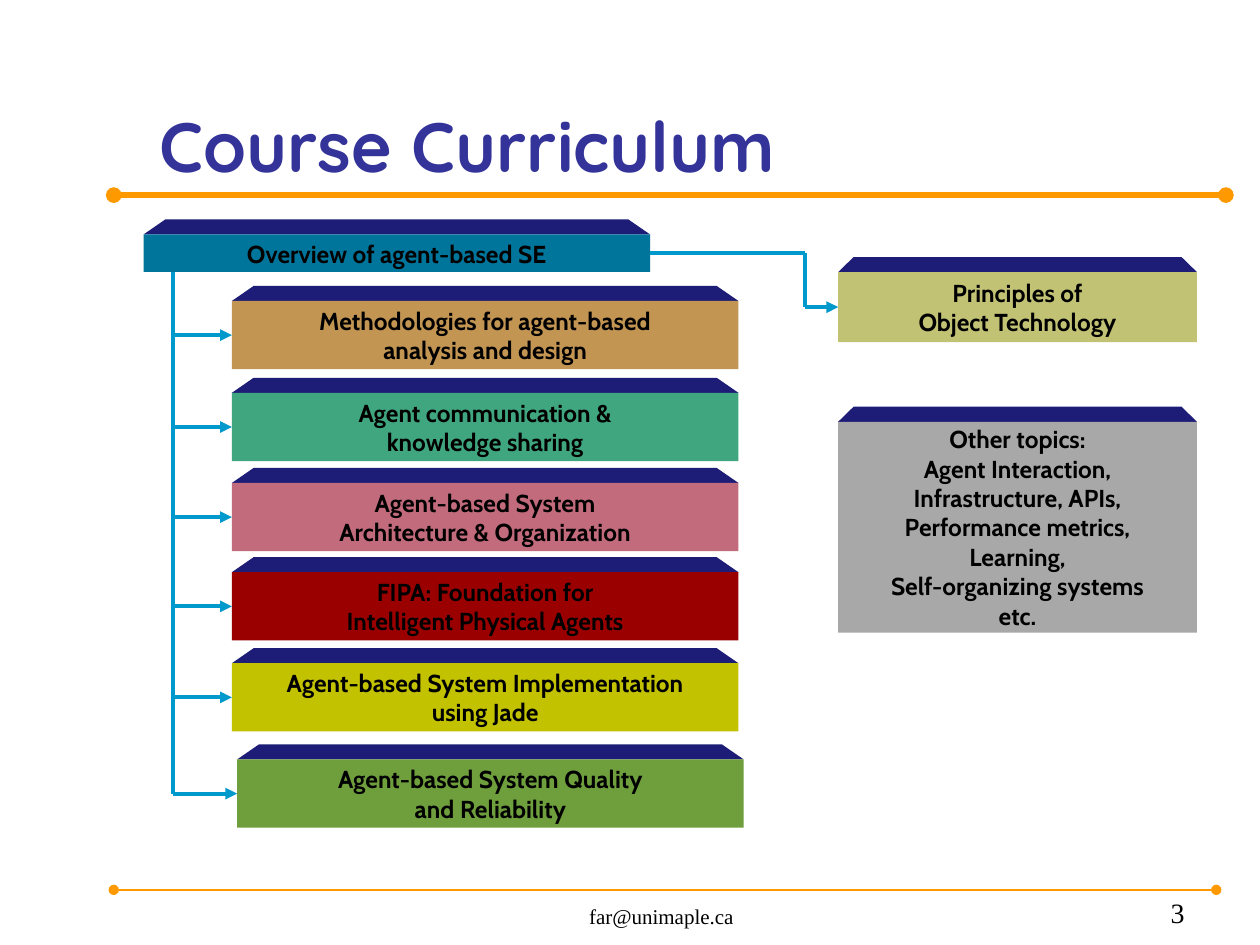
from lxml.etree import SubElement
from pptx import Presentation
from pptx.dml.color import RGBColor
from pptx.enum.shapes import MSO_CONNECTOR, MSO_SHAPE
from pptx.enum.text import MSO_ANCHOR, MSO_AUTO_SIZE, PP_ALIGN
from pptx.oxml.ns import qn
from pptx.util import Pt

TITLE = "Course Curriculum"
# text, fill, left, top, width, height
OVERVIEW = ("Overview of agent-based SE", "00759C", 82, 134, 289.5, 21.5)
PRINCIPLES = ("Principles of\nObject Technology", "C2C275", 479, 155.5, 205, 40)
OTHER = ("Other topics:\nAgent Interaction,\nInfrastructure, APIs,\nPerformance metrics,\n"
         "Learning,\nSelf-organizing systems\netc.", "A8A8A8", 479, 241, 205, 120.5)
# text, fill, left, top
TOPICS = [
    ("Methodologies for agent-based\nanalysis and design", "C29552", 132.5, 172),
    ("Agent communication &\nknowledge sharing", "3FA67F", 132.5, 224.5),
    ("Agent-based System\nArchitecture & Organization", "C26B7C", 132.5, 276),
    ("FIPA: Foundation for\nIntelligent Physical Agents", "9B0000", 132.5, 327),
    ("Agent-based System Implementation\nusing Jade", "C2C200", 132.5, 379),
    ("Agent-based System Quality\nand Reliability", "6F9E3D", 135.5, 434),
]
TOPIC_SIZE = (289.5, 39)
# text, size, alignment, left, width
FOOTERS = [("far@unimaple.ca", 12, PP_ALIGN.CENTER, 264, 228),
           ("3", 16, PP_ALIGN.RIGHT, 534, 150)]
# start x, end x, y, weight
RULES = [(65, 700.5, 111.5, 3), (65, 695, 508.5, 1.5)]

LID, LID_HEIGHT, LID_INSET = "1D1D77", 8.6, 0.043
ARROW, RULE = "0099CC", "FF9900"
SPINE_X, ELBOW_X = 99, 460


def color(hex_code):
    return RGBColor.from_string(hex_code)


def write(frame, text, font, size, hex_code, align, anchor, bold=False):
    frame.text = text
    frame.vertical_anchor = anchor
    for paragraph in frame.paragraphs:
        paragraph.alignment = align
        for run in paragraph.runs:
            run.font.name, run.font.size, run.font.bold = font, Pt(size), bold
            run.font.color.rgb = color(hex_code)


def add_solid(preset, hex_code, left, top, width, height):
    shape = slide.shapes.add_shape(preset, Pt(left), Pt(top), Pt(width), Pt(height))
    shape.shadow.inherit = False
    shape.fill.solid()
    shape.fill.fore_color.rgb = color(hex_code)
    shape.line.fill.background()
    return shape


def add_block(text, hex_code, left, top, width, height):
    """Draw a labelled front face with a dark receding lid above it."""
    inset = width * LID_INSET
    lid = add_solid(MSO_SHAPE.TRAPEZOID, LID, left, top - LID_HEIGHT, width, LID_HEIGHT)
    lid.adjustments[0] = inset / LID_HEIGHT
    front = add_solid(MSO_SHAPE.RECTANGLE, hex_code, left, top, width, height)
    write(front.text_frame, text, "Cabin", 14, "000000",
          PP_ALIGN.CENTER, MSO_ANCHOR.MIDDLE, bold=True)
    front.text_frame.word_wrap = False
    return front


def add_line(x1, y1, x2, y2, hex_code=ARROW, weight=2.25, head=None, tail=None):
    line = slide.shapes.add_connector(MSO_CONNECTOR.STRAIGHT, Pt(x1), Pt(y1), Pt(x2), Pt(y2))
    line.line.color.rgb = color(hex_code)
    line.line.width = Pt(weight)
    outline = line.line._get_or_add_ln()
    for tag, kind in (("a:headEnd", head), ("a:tailEnd", tail)):
        if kind:
            SubElement(outline, qn(tag), type=kind)
    SubElement(line._element.spPr, qn("a:effectLst"))
    return line


def add_arrow_into(block, start_x):
    """Run a level arrow from start_x to the middle of the block's left side."""
    y = block.top.pt + block.height.pt / 2
    arrow = add_line(start_x, y, block.left.pt, y, tail="triangle")
    arrow.end_connect(block, 1)
    return y


prs = Presentation()
prs.slide_width, prs.slide_height = Pt(720), Pt(540)
slide = prs.slides.add_slide(prs.slide_layouts[5])

title = slide.shapes.title
title.left, title.top, title.width, title.height = Pt(84), Pt(20), Pt(620), Pt(90)
write(title.text_frame, TITLE, "Quicksand", 40, "333399",
      PP_ALIGN.LEFT, MSO_ANCHOR.BOTTOM, bold=True)
title.text_frame.auto_size = MSO_AUTO_SIZE.NONE

for start, end, y, weight in RULES:
    add_line(start, y, end, y, RULE, weight, head="oval", tail="oval")

for text, size, align, left, width in FOOTERS:
    footer = slide.shapes.add_textbox(Pt(left), Pt(502.5), Pt(width), Pt(32))
    footer.text_frame.word_wrap = True
    write(footer.text_frame, text, "Times New Roman", size, "000000", align, MSO_ANCHOR.BOTTOM)

overview = add_block(*OVERVIEW)
principles = add_block(*PRINCIPLES)
add_block(*OTHER)
topics = [add_block(*topic, *TOPIC_SIZE) for topic in TOPICS]

branch_ys = [add_arrow_into(topic, SPINE_X) for topic in topics]
overview_bottom = overview.top.pt + overview.height.pt
add_line(SPINE_X, overview_bottom, SPINE_X, branch_ys[-1])

overview_y = overview.top.pt + overview.height.pt / 2
link = add_line(overview.left.pt + overview.width.pt, overview_y, ELBOW_X, overview_y)
link.begin_connect(overview, 3)
principles_y = add_arrow_into(principles, ELBOW_X)
add_line(ELBOW_X, overview_y, ELBOW_X, principles_y)

prs.save("out.pptx")
